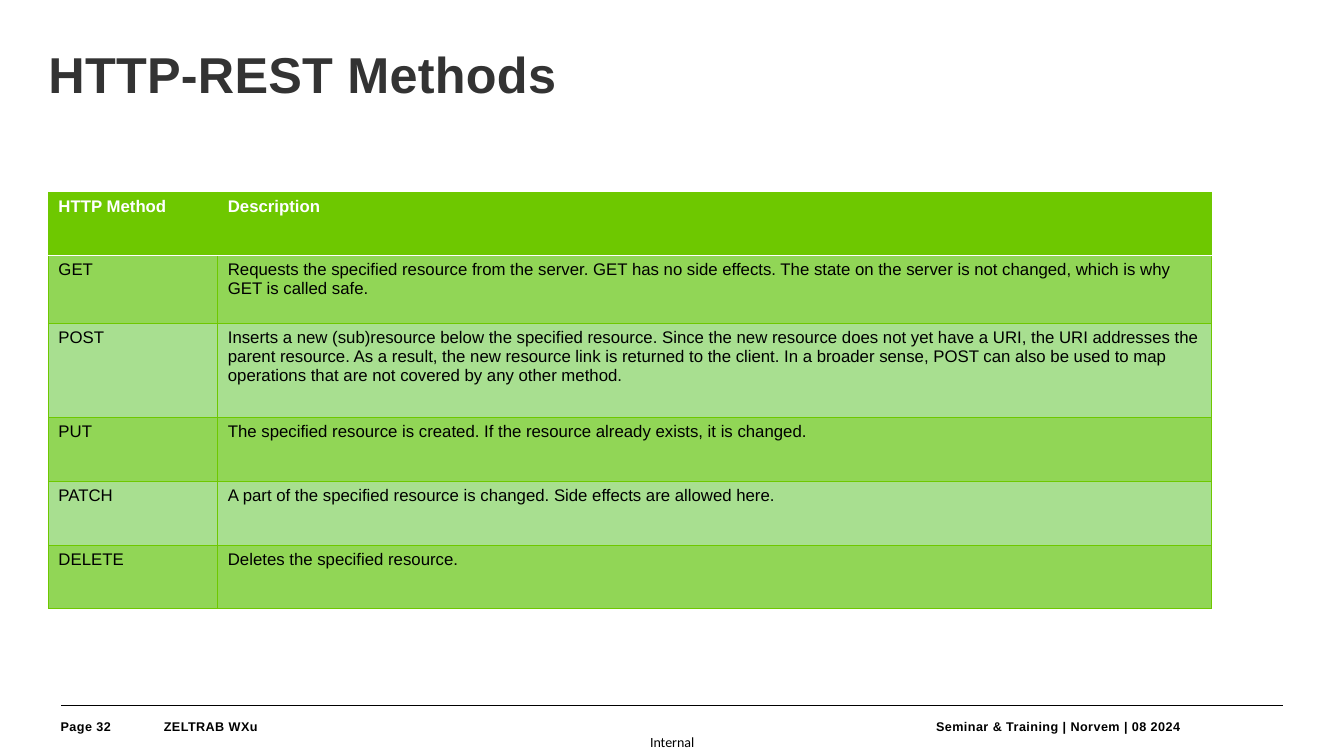
from lxml.etree import SubElement
from pptx import Presentation
from pptx.dml.color import RGBColor
from pptx.enum.shapes import MSO_CONNECTOR as Connector
from pptx.enum.text import MSO_ANCHOR as Anchor, PP_ALIGN as Align
from pptx.oxml.ns import qn
from pptx.util import Cm, Pt

BLACK = RGBColor(0x00, 0x00, 0x00)
WHITE = RGBColor(0xFF, 0xFF, 0xFF)
DARK_GREY = RGBColor(0x33, 0x33, 0x33)
GREEN = RGBColor(0x6E, 0xC8, 0x00)
MID_GREEN = RGBColor(0x91, 0xD6, 0x56)
LIGHT_GREEN = RGBColor(0xA8, 0xDF, 0x90)

METHODS = [
    ("HTTP Method", "Description"),
    ("GET", "Requests the specified resource from the server. GET has no side effects. "
            "The state on the server is not changed, which is why GET is called safe."),
    ("POST", "Inserts a new (sub)resource below the specified resource. Since the new "
             "resource does not yet have a URI, the URI addresses the parent resource. "
             "As a result, the new resource link is returned to the client. In a broader "
             "sense, POST can also be used to map operations that are not covered by any "
             "other method."),
    ("PUT", "The specified resource is created. If the resource already exists, it is changed."),
    ("PATCH", "A part of the specified resource is changed. Side effects are allowed here."),
    ("DELETE", "Deletes the specified resource."),
]
COLUMN_WIDTHS = [4.27, 25.04]
ROW_HEIGHTS = [1.6, 1.71, 2.37, 1.61, 1.6, 1.61]

TITLE = {"name": "Arial", "size": Pt(36), "bold": True, "color": DARK_GREY}
FOOTER = {"name": "Arial", "size": Pt(9), "bold": True, "color": BLACK}
CLASSIFICATION = {"name": "Calibri", "size": Pt(10), "bold": False, "color": BLACK}
HEADER = {"name": "Arial", "size": Pt(12), "bold": True, "color": WHITE}
BODY = HEADER | {"bold": False, "color": BLACK}


def write(paragraph, text, font_format, tracking=0):
    """Add one formatted run; tracking is in hundredths of a point."""
    run = paragraph.add_run()
    run.text = text
    for name, value in font_format.items():
        if name == "color":
            run.font.color.rgb = value
        else:
            setattr(run.font, name, value)
    if tracking:
        run.font._element.set("spc", str(tracking))


def add_border(cell, side, color, width):
    line = SubElement(cell._tc.get_or_add_tcPr(), qn(f"a:ln{side}"), w=str(Pt(width)))
    fill = SubElement(line, qn("a:solidFill"))
    SubElement(fill, qn("a:srgbClr"), val=str(color))


presentation = Presentation()
presentation.slide_width, presentation.slide_height = Cm(33.87), Cm(19.05)
slide = presentation.slides.add_slide(presentation.slide_layouts[6])

# Footer rule
rule = slide.shapes.add_connector(Connector.STRAIGHT, Cm(1.54), Cm(17.78), Cm(32.33), Cm(17.78))
rule.line.color.rgb = BLACK
rule.line.width = Pt(0.5)
SubElement(rule._element.spPr, qn("a:effectLst"))

# Title and footer texts
texts = [
    ("HTTP-REST Methods", (1.22, 1.32, 13.92, 1.09), TITLE, 20, Align.LEFT, Anchor.TOP, 0.85),
    ("Page 32", (1.53, 18.12, 2.2, 0.56), FOOTER, 30, Align.LEFT, Anchor.TOP, 1),
    ("ZELTRAB WXu", (4.13, 18.12, 11.8, 0.56), FOOTER, 30, Align.LEFT, Anchor.TOP, 1),
    ("Seminar & Training | Norvem | 08 2024", (21.54, 18.12, 8.2, 0.56), FOOTER, 30,
     Align.RIGHT, Anchor.TOP, 1),
    ("Internal", (16, 18.33, 1.88, 0.74), CLASSIFICATION, 0, Align.CENTER, Anchor.MIDDLE, 1),
]
for text, box, font_format, tracking, alignment, anchor, spacing in texts:
    frame = slide.shapes.add_textbox(*map(Cm, box)).text_frame
    frame.word_wrap = True
    frame.vertical_anchor = anchor
    for side in ("left", "right", "top", "bottom"):
        setattr(frame, f"margin_{side}", 0)
    paragraph = frame.paragraphs[0]
    paragraph.alignment = alignment
    paragraph.line_spacing = spacing
    write(paragraph, text, font_format, tracking)

# Table of methods
table = slide.shapes.add_table(
    len(METHODS), len(COLUMN_WIDTHS), Cm(1.22), Cm(4.84),
    Cm(sum(COLUMN_WIDTHS)), Cm(sum(ROW_HEIGHTS))).table
table.first_row = table.horz_banding = False
for column, width in zip(table.columns, COLUMN_WIDTHS):
    column.width = Cm(width)
for row, height in zip(table.rows, ROW_HEIGHTS):
    row.height = Cm(height)

for row_index, row_texts in enumerate(METHODS):
    is_header = row_index == 0
    band = GREEN if is_header else MID_GREEN if row_index % 2 else LIGHT_GREEN
    for column_index, text in enumerate(row_texts):
        cell = table.cell(row_index, column_index)
        write(cell.text_frame.paragraphs[0], text, HEADER if is_header else BODY)
        for side in "LRTB":
            below_header = (row_index, side) in ((0, "B"), (1, "T"))
            add_border(cell, side, *((WHITE, 1) if below_header else (GREEN, 0.5)))
        cell.fill.solid()
        cell.fill.fore_color.rgb = band

presentation.save("out.pptx")
